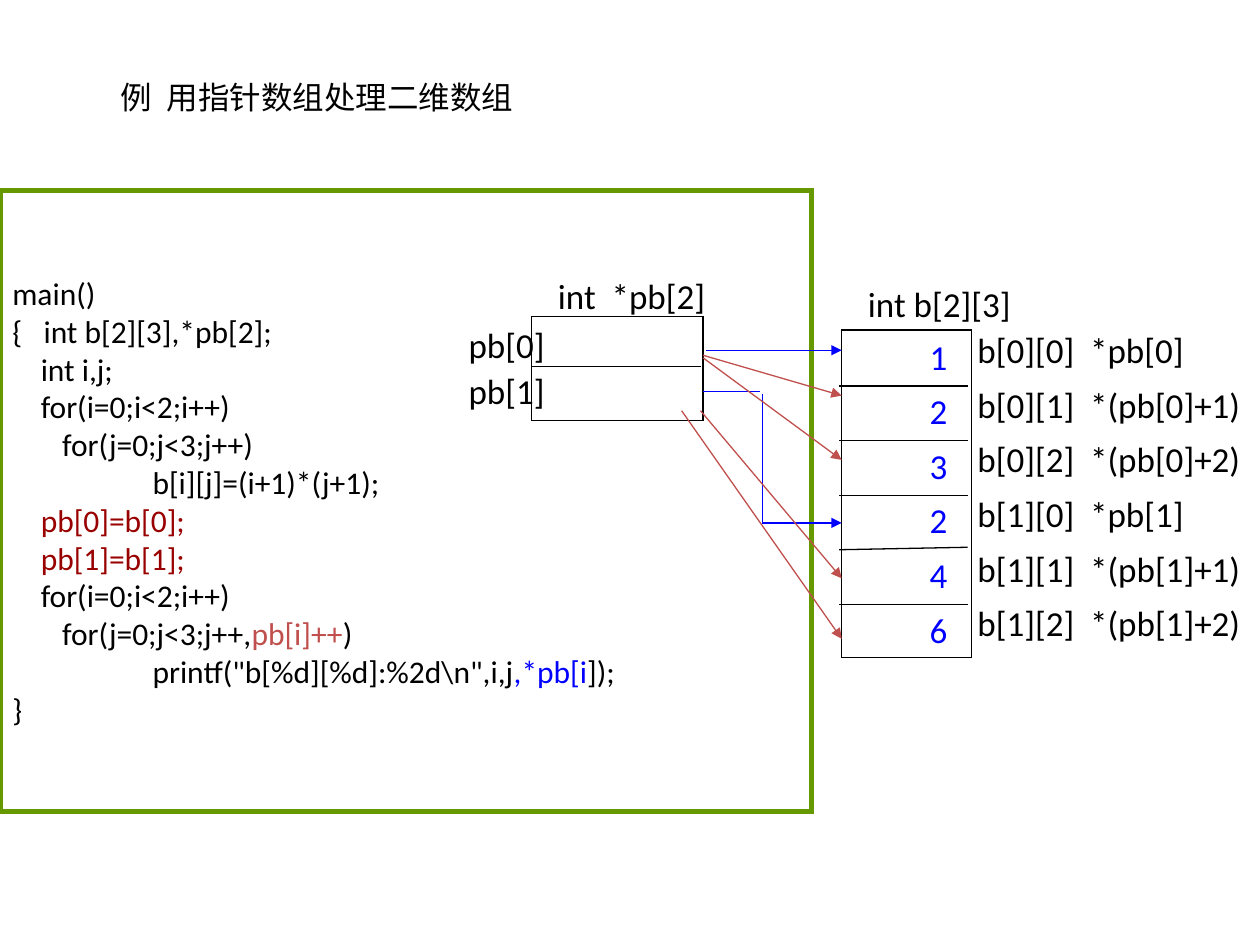
from dataclasses import dataclass

from lxml import etree
from pptx import Presentation
from pptx import util as u
from pptx.dml.color import RGBColor
from pptx.enum import shapes, text
from pptx.oxml import ns


@dataclass(frozen=True)
class Theme:
    font: str = "Calibri"
    code_size: int = 18
    label_size: int = 20
    thin: float = 0.75
    frame_width: float = 3
    black: str = "000000"
    white: str = "FFFFFF"
    green: str = "669900"
    dark_red: str = "990000"
    red: str = "C0504D"
    blue: str = "0000FF"


THEME = Theme()


def rgb(value):
    return RGBColor.from_string(value)


def style_font(font, size, color=THEME.black):
    font.name = THEME.font
    font.size = u.Pt(size)
    font.color.rgb = rgb(color)


def add_label(page, left, top, width, words, color=THEME.black):
    box = page.shapes.add_textbox(*map(u.Inches, (left, top, width, 0.43)))
    frame = box.text_frame
    frame.word_wrap = False
    frame.auto_size = text.MSO_AUTO_SIZE.SHAPE_TO_FIT_TEXT
    frame.text = words
    style_font(frame.paragraphs[0].font, THEME.label_size, color)


def add_box(page, left, top, width, height, line, weight, fill=None):
    box = page.shapes.add_shape(shapes.MSO_SHAPE.RECTANGLE,
                                *map(u.Inches, (left, top, width, height)))
    box.shadow.inherit = False
    if fill:
        box.fill.solid()
        box.fill.fore_color.rgb = rgb(fill)
    else:
        box.fill.background()
    box.line.color.rgb = rgb(line)
    box.line.width = u.Pt(weight)
    # Square corners
    etree.SubElement(box.line._get_or_add_ln(), ns.qn("a:miter"), lim="800000")
    return box


def add_line(page, start, end, color=THEME.black, arrow=False):
    line = page.shapes.add_connector(shapes.MSO_CONNECTOR.STRAIGHT,
                                     *map(u.Inches, (*start, *end)))
    line.line.color.rgb = rgb(color)
    line.line.width = u.Pt(THEME.thin)
    properties = line.line._get_or_add_ln()
    if arrow:
        etree.SubElement(properties, ns.qn("a:tailEnd"), type="triangle")
    etree.SubElement(properties.getparent(), ns.qn("a:effectLst"))


def add_title(page, left, top, width, height):
    title = page.shapes.title
    title.left, title.top, title.width, title.height = map(
        u.Inches, (left, top, width, height))
    frame = title.text_frame
    frame.text = "例  用指针数组处理二维数组"
    frame.word_wrap = False
    frame.vertical_anchor = text.MSO_ANCHOR.TOP
    para = frame.paragraphs[0]
    para.alignment = text.PP_ALIGN.LEFT
    style_font(para.font, THEME.code_size)


# Each code line is a list of (words, color) spans
CODE = [
    [("main()", THEME.black)],
    [("{   int b[2][3],*pb[2];", THEME.black)],
    [("    int i,j;", THEME.black)],
    [("    for(i=0;i<2;i++)", THEME.black)],
    [("       for(j=0;j<3;j++)", THEME.black)],
    [("\t  b[i][j]=(i+1)*(j+1);", THEME.black)],
    [("    pb[0]=b[0];", THEME.dark_red)],
    [("    pb[1]=b[1];", THEME.dark_red)],
    [("    for(i=0;i<2;i++)", THEME.black)],
    [("       for(j=0;j<3;j++,", THEME.black), ("pb[i]++", THEME.red),
     (")", THEME.black)],
    [('\t  printf("b[%d][%d]:%2d\\n",i,j', THEME.black),
     (",*pb[i", THEME.blue), ("]);", THEME.black)],
    [("}", THEME.black)],
]


def set_tab_stop(para, position):
    stops = etree.Element(ns.qn("a:tabLst"))
    etree.SubElement(stops, ns.qn("a:tab"), pos=str(u.Inches(position)), algn="l")
    para._p.get_or_add_pPr().insert(0, stops)


def add_code(page, left, top, width, height):
    panel = add_box(page, left, top, width, height,
                    THEME.green, THEME.frame_width, THEME.white)
    frame = panel.text_frame
    frame.word_wrap = True
    frame.vertical_anchor = text.MSO_ANCHOR.MIDDLE
    for index, spans in enumerate(CODE):
        para = frame.add_paragraph() if index else frame.paragraphs[0]
        para.alignment = text.PP_ALIGN.LEFT
        style_font(para.font, THEME.code_size)
        set_tab_stop(para, 1)
        for words, color in spans:
            span = para.add_run()
            span.text = words
            span.font.color.rgb = rgb(color)


def add_pointer_array(page, left, top, width, height):
    add_box(page, left, top, width, height, THEME.black, THEME.thin)
    add_line(page, (left, top + 0.4), (left + width - 0.02, top + 0.4))
    add_label(page, left + 0.11, top - 0.38, 1.37, "int  *pb[2]")
    for row in range(2):
        add_label(page, left - 0.6, top + 0.01 + row * 0.36, 0.82, f"pb[{row}]")


def add_matrix(page, left, top, width, height):
    values = [1, 2, 3, 2, 4, 6]
    pitch = height / len(values)
    add_box(page, left, top, width, height, THEME.black, THEME.thin)
    add_label(page, left + 0.11, top - 0.43, 1.35, "int b[2][3]")
    for index, value in enumerate(values):
        row, column = divmod(index, 3)
        cell_top = top + index * pitch
        # Divider above each cell but the first; the fourth is slightly tilted
        if index:
            tilt = 0.02 if index == 4 else 0
            add_line(page, (left - 0.02, cell_top + 0.01),
                     (left + width - 0.03, cell_top + 0.01 - tilt))
        add_label(page, left + 0.6, cell_top - 0.01, 0.34, str(value), THEME.blue)
        pointer = f"*(pb[{row}]+{column})" if column else f"*pb[{row}]"
        add_label(page, left + 0.98, cell_top - 0.06, 2.34 if column else 1.86,
                  f"b[{row}][{column}]  {pointer}")


def add_pointers(page, left, right):
    # Row starts: straight for pb[0], stepped for pb[1]
    bend = left + 0.47
    add_line(page, (left + 0.02, 2.78), (right, 2.78), THEME.blue, True)
    add_line(page, (left, 3.11), (bend - 0.02, 3.11), THEME.blue)
    add_line(page, (bend, 3.13), (bend, 4.15), THEME.blue)
    add_line(page, (bend, 4.15), (right, 4.15), THEME.blue, True)
    # Offsets from each row start
    for shift, start, end in [(0, 2.82, 3.14), (0, 2.84, 3.65),
                              (0.02, 3.26, 4.59), (0.17, 3.26, 5.07)]:
        add_line(page, (left - shift, start), (right, end), THEME.red, True)


def build_slide(deck):
    page = deck.slides.add_slide(deck.slide_layouts[5])
    add_title(page, 0.86, 0.57, 4.37, 0.5)
    add_code(page, 0, 1.51, 6.44, 4.93)
    add_pointer_array(page, 4.22, 2.51, 1.36, 0.83)
    add_matrix(page, 6.68, 2.62, 1.03, 2.6)
    add_pointers(page, 5.58, 6.68)


deck = Presentation()
deck.slide_width, deck.slide_height = u.Inches(10), u.Inches(7.5)
build_slide(deck)
deck.save("out.pptx")
